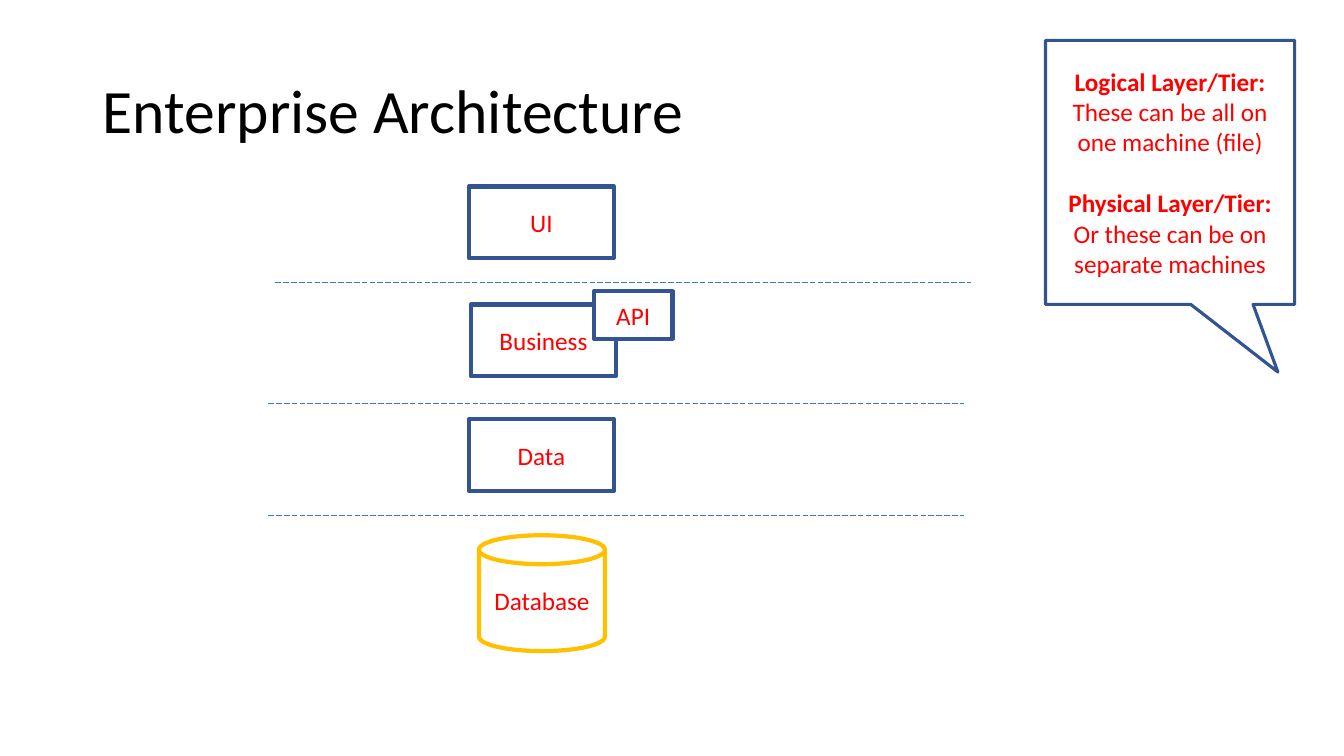
"""Build the Enterprise Architecture slide."""
from lxml import etree
from pptx import Presentation
from pptx.dml.color import RGBColor
from pptx.enum import dml, shapes, text
from pptx.oxml import ns
from pptx.util import Inches, Pt

FONT = "Calibri"
BLACK = RGBColor(0x00, 0x00, 0x00)
WHITE = RGBColor(0xFF, 0xFF, 0xFF)
RED = RGBColor(0xFF, 0x00, 0x00)
NAVY = RGBColor(0x32, 0x54, 0x91)
BLUE = RGBColor(0x44, 0x72, 0xC4)
GOLD = RGBColor(0xFF, 0xC0, 0x00)
KIND = shapes.MSO_SHAPE


def style_run(run, size, color, bold=False):
    """Apply the slide font to one run."""
    run.font.name = FONT
    run.font.size = Pt(size)
    run.font.bold = bold
    run.font.color.rgb = color


def add_outline(slide, kind, box, color, width, fill=None):
    """Add an outlined shape with centred text, filled only on request."""
    outline = slide.shapes.add_shape(kind, *map(Inches, box))
    outline.shadow.inherit = False
    outline.line.color.rgb = color
    outline.line.width = Pt(width)
    if fill is None:
        outline.fill.background()
    else:
        outline.fill.solid()
        outline.fill.fore_color.rgb = fill
    outline.text_frame.word_wrap = True
    outline.text_frame.vertical_anchor = text.MSO_ANCHOR.MIDDLE
    return outline


def add_component(slide, label, kind, box, color=NAVY, fill=None):
    """Add one labelled component of the architecture."""
    component = add_outline(slide, kind, box, color, 3, fill)
    caption = component.text_frame.paragraphs[0]
    caption.text = label
    caption.alignment = text.PP_ALIGN.CENTER
    style_run(caption.runs[0], 18, RED)


def add_divider(slide, left, top, length):
    """Add a dashed boundary between two layers."""
    divider = slide.shapes.add_connector(
        shapes.MSO_CONNECTOR.STRAIGHT,
        *map(Inches, (left, top, left + length, top)))
    divider.line.color.rgb = BLUE
    divider.line.width = Pt(0.5)
    divider.line.dash_style = dml.MSO_LINE.LONG_DASH
    etree.SubElement(divider._element.spPr, ns.qn("a:effectLst"))


def add_title(slide, box):
    """Place and format the title placeholder."""
    title = slide.shapes.title
    title.left, title.top, title.width, title.height = map(Inches, box)
    title.text_frame.text = "Enterprise Architecture"
    title.text_frame.vertical_anchor = text.MSO_ANCHOR.MIDDLE
    heading = title.text_frame.paragraphs[0]
    heading.alignment = text.PP_ALIGN.LEFT
    heading.line_spacing = 0.9
    style_run(heading.runs[0], 44, BLACK)


def add_layers(slide, box):
    """Stack the layers, the API and the dividers within the box."""
    left, top, width, _ = box
    for label, dx, dy in (("UI", 1.99, 0), ("Business", 2.01, 1.17),
                          ("Data", 1.99, 2.31)):
        add_component(slide, label, KIND.RECTANGLE,
                      (left + dx, top + dy, 1.44, 0.71))
    add_component(slide, "Database", KIND.CAN,
                  (left + 2.09, top + 3.46, 1.25, 1.15), GOLD)
    add_component(slide, "API", KIND.RECTANGLE,
                  (left + 3.23, top + 1.04, 0.78, 0.47), fill=WHITE)
    for dx, dy in ((0.07, 0.95), (0, 2.15), (0, 3.26)):
        add_divider(slide, left + dx, top + dy, width - 0.07)


def add_tier_note(slide, box):
    """Add the callout explaining logical and physical tiers."""
    note = add_outline(slide, KIND.RECTANGULAR_CALLOUT, box, NAVY, 2.25)
    note.adjustments[0], note.adjustments[1] = 0.433, 0.756
    frame = note.text_frame
    tiers = (("Logical Layer/Tier: ", "These can be all on one machine (file)"),
             ("Physical Layer/Tier: ", "Or these can be on separate machines"))
    for index, (term, meaning) in enumerate(tiers):
        entry = frame.add_paragraph() if index else frame.paragraphs[0]
        entry.alignment = text.PP_ALIGN.CENTER
        entry.space_before = Pt(22 * index)
        for wording, bold in ((term, True), (meaning, False)):
            run = entry.add_run()
            run.text = wording
            style_run(run, 18, RED, bold)


def main():
    """Build and save the slide."""
    deck = Presentation()
    deck.slide_width, deck.slide_height = Inches(13.33), Inches(7.5)
    slide = deck.slides.add_slide(deck.slide_layouts.get_by_name("Title Only"))
    add_title(slide, (0.92, 0.4, 11.5, 1.45))
    add_layers(slide, (2.66, 1.85, 6.97, 4.61))
    add_tier_note(slide, (10.37, 0.4, 2.47, 2.62))
    deck.save("out.pptx")


main()
